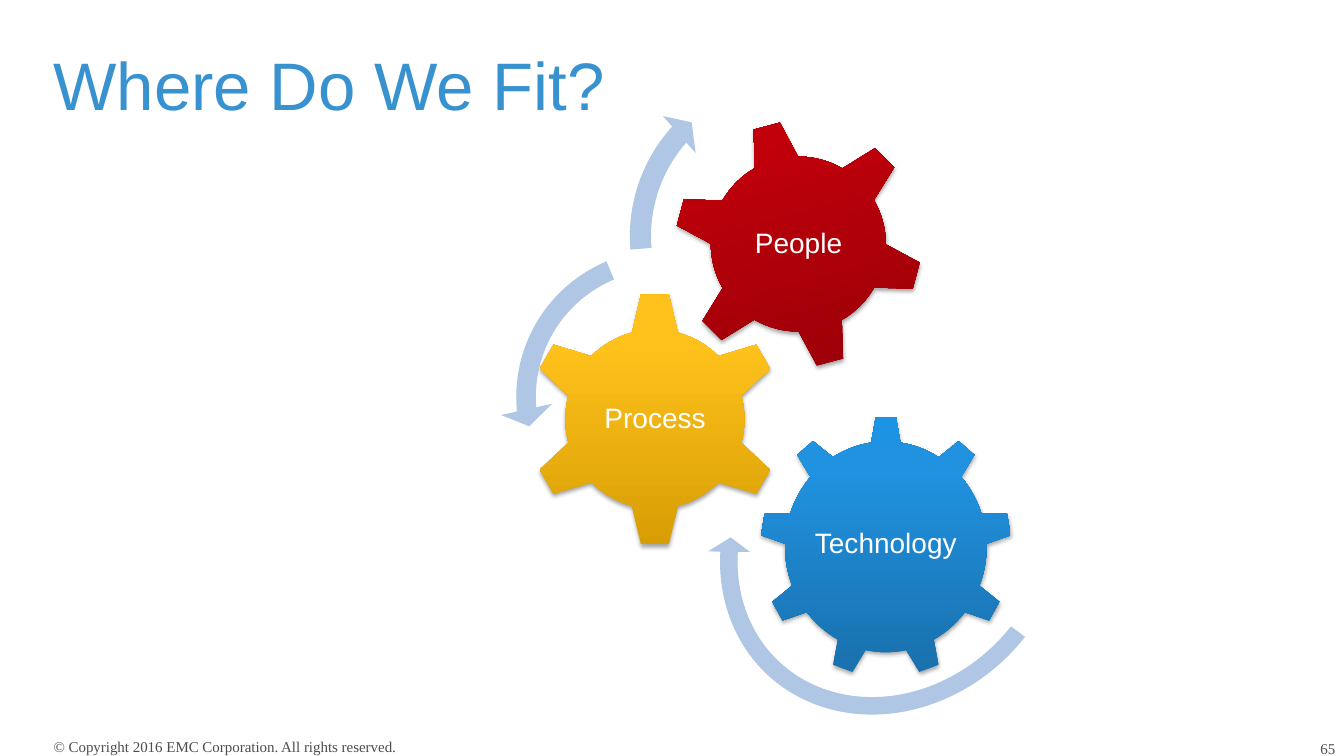
from dataclasses import dataclass

from lxml.etree import SubElement
from pptx import Presentation
from pptx.dml.color import RGBColor
from pptx.enum.shapes import MSO_SHAPE
from pptx.enum.text import MSO_ANCHOR, PP_ALIGN
from pptx.oxml.ns import qn
from pptx.util import Cm, Pt


@dataclass(frozen=True)
class Theme:
    """Colours, fonts and type sizes of the slide."""
    title: str = "3892D0"
    footer: str = "4D4D4D"
    label: str = "FFFFFF"
    arrow: str = "AFC7E4"
    shadow: str = "000000"
    blue: tuple = ("1970AC", "2092E0", "1D93E4")
    yellow: tuple = ("D79D03", "FFC21C", "FFC21D")
    red: tuple = ("940008", "C1000B", "C2000B")
    sans: str = "Arial"
    serif: str = "Times New Roman"
    title_size: float = 48
    label_size: float = 20
    footer_size: float = 10.7


class Slide:
    """Draws each kind of element on one slide in one theme."""

    def __init__(self, prs, theme):
        self.s = prs.slides.add_slide(prs.slide_layouts[6])
        self.theme = theme

    def text(self, box, text, size, color, font, align=PP_ALIGN.LEFT,
             anchor=MSO_ANCHOR.TOP, inset=0, wrap=True):
        """Add a one-line text box and return its paragraph."""
        tf = self.s.shapes.add_textbox(*map(Cm, box)).text_frame
        tf.word_wrap = wrap
        tf.vertical_anchor = anchor
        tf.margin_left = tf.margin_right = tf.margin_top = tf.margin_bottom = Cm(inset)
        p = tf.paragraphs[0]
        p.alignment = align
        r = p.add_run()
        r.text = text
        r.font.size = Pt(size)
        r.font.name = font
        r.font.color.rgb = RGBColor.from_string(color)
        return p

    def title(self, box, text):
        """Add the slide title."""
        t = self.theme
        p = self.text(box, text, t.title_size, t.title, t.sans, anchor=MSO_ANCHOR.BOTTOM)
        p.line_spacing = Pt(t.title_size)

    def footer(self, box, text, align=PP_ALIGN.LEFT, wrap=True):
        """Add a small footer text."""
        t = self.theme
        self.text(box, text, t.footer_size, t.footer, t.serif, align, wrap=wrap)

    def shape(self, kind, box, rotation=0):
        """Add a preset shape without line or shadow."""
        sp = self.s.shapes.add_shape(kind, *map(Cm, box))
        sp.rotation = rotation
        sp.shadow.inherit = False
        sp.line.fill.background()
        return sp

    def gear(self, kind, box, colors, label, label_box, rotation=0):
        """Add a shaded gear with its label."""
        t = self.theme
        sp = self.shape(kind, box, rotation)
        sp.fill.gradient()
        sp.fill.gradient_angle = 90
        stops = sp._element.spPr.find(".//" + qn("a:gsLst"))
        for stop in list(stops):
            stops.remove(stop)
        for pos, color in zip((0, 80, 100), colors):
            stop = SubElement(stops, qn("a:gs"), pos=str(pos * 1000))
            SubElement(stop, qn("a:srgbClr"), val=color)
        effects = sp._element.spPr.find(qn("a:effectLst"))
        shadow = SubElement(effects, qn("a:outerShdw"), blurRad=str(Pt(3.1)),
                            dist=str(Pt(1.8)), dir="5400000", rotWithShape="0")
        color = SubElement(shadow, qn("a:srgbClr"), val=t.shadow)
        SubElement(color, qn("a:alpha"), val="35000")
        p = self.text(label_box, label, t.label_size, t.label, t.sans,
                      PP_ALIGN.CENTER, MSO_ANCHOR.MIDDLE, inset=0.07)
        p.line_spacing = 0.9
        p.space_after = Pt(7)

    def arrow(self, kind, box, adjustments, rotation=0, flipped=False):
        """Add a circular arrow, flipped both ways if asked."""
        sp = self.shape(kind, box, rotation)
        sp.fill.solid()
        sp.fill.fore_color.rgb = RGBColor.from_string(self.theme.arrow)
        for i, value in enumerate(adjustments):
            sp.adjustments[i] = value
        if flipped:
            xfrm = sp._element.spPr.find(qn("a:xfrm"))
            xfrm.set("flipH", "1")
            xfrm.set("flipV", "1")


def main():
    """Build and save the slide."""
    prs = Presentation()
    prs.slide_width, prs.slide_height = Cm(33.87), Cm(19.05)
    theme = Theme()
    s = Slide(prs, theme)

    s.footer((31.67, 18.64, 1.98, 0.46), "65", PP_ALIGN.RIGHT)
    s.footer((1.35, 18.59, 9.35, 0.46),
             "© Copyright 2016 EMC Corporation. All rights reserved.", wrap=False)

    s.gear(MSO_SHAPE.GEAR_9, (19.15, 10.49, 6.35, 6.58), theme.blue,
           "Technology", (20.42, 12.01, 3.81, 3.4))
    s.gear(MSO_SHAPE.GEAR_6, (13.28, 7.34, 6.45, 6.45), theme.yellow,
           "Process", (14.91, 8.97, 3.2, 3.18))
    s.gear(MSO_SHAPE.GEAR_6, (16.97, 3, 6.3, 6.3), theme.red,
           "People", (18.36, 4.39, 3.53, 3.53), rotation=345)

    s.arrow(MSO_SHAPE.CIRCULAR_ARROW, (17.55, 9.17, 9.96, 8.84),
            (0.05, 2.99, 25.45, 158.01, 0.06), rotation=313.3, flipped=True)
    s.arrow(MSO_SHAPE.LEFT_CIRCULAR_ARROW, (12.6, 5.89, 8.23, 8.23),
            (0.06, 4.3, 104.89, 148.38, 0.08))
    s.arrow(MSO_SHAPE.CIRCULAR_ARROW, (15.52, 1.5, 8.89, 8.89),
            (0.06, 3.94, 133.14, 105.08, 0.07))

    s.title((1.35, 0.56, 31.14, 2.57), "Where Do We Fit?")
    prs.save("out.pptx")


if __name__ == "__main__":
    main()
